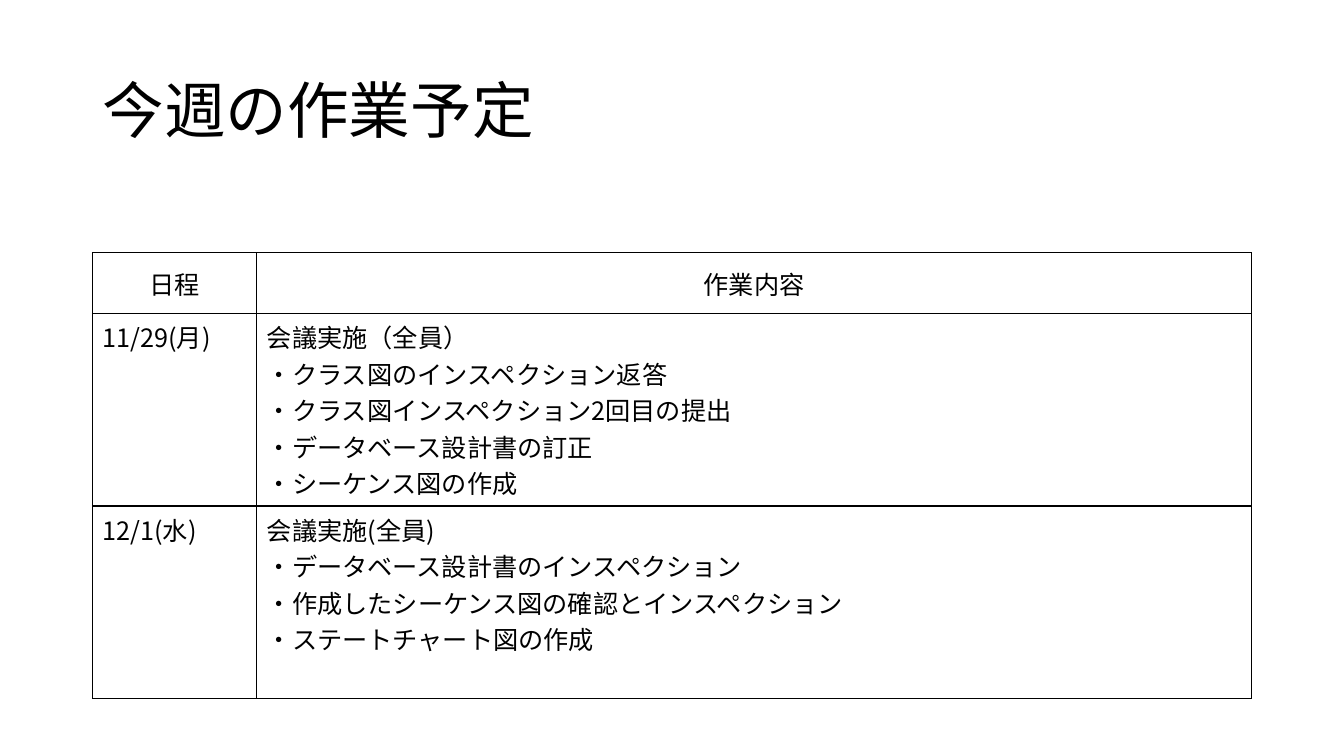
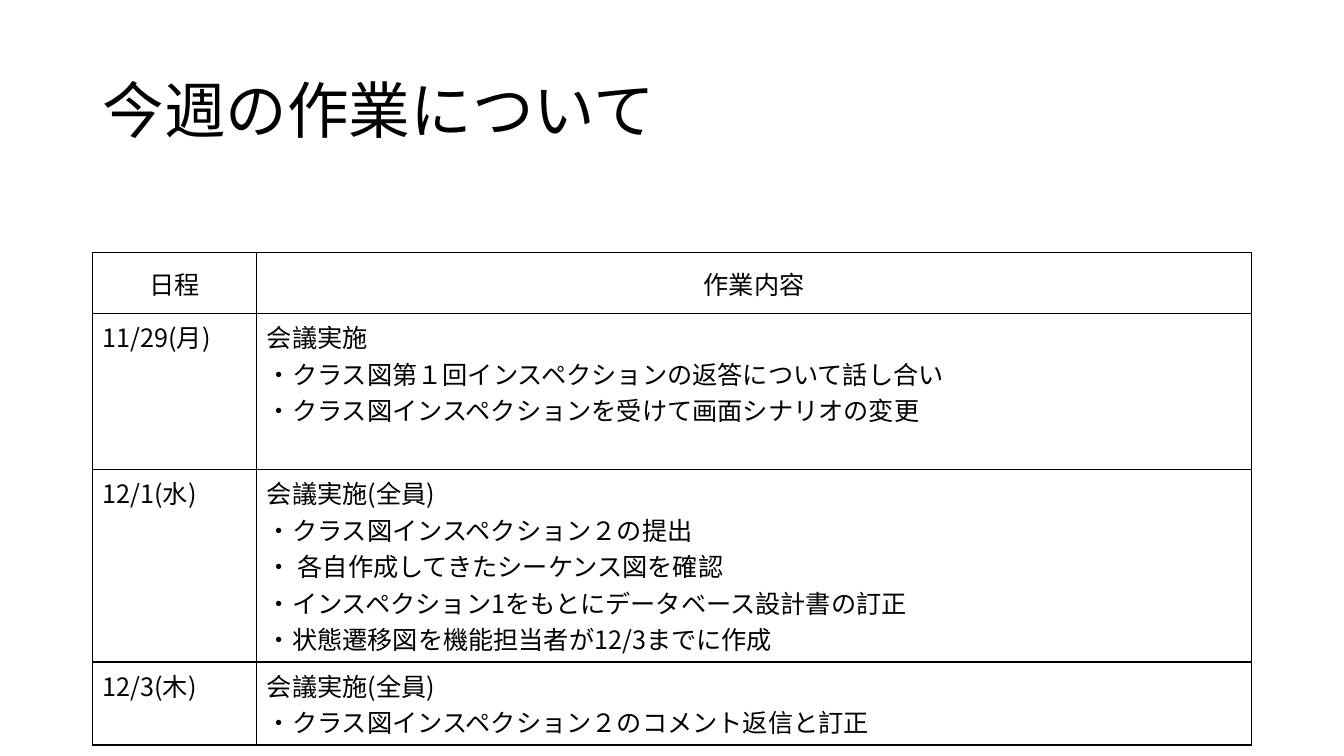
from lxml import etree
from pptx import Presentation
from pptx.dml.color import RGBColor
from pptx.enum.text import MSO_ANCHOR, MSO_AUTO_SIZE, PP_ALIGN
from pptx.oxml.ns import qn
from pptx.util import Cm, Pt

LEFT, CENTER = PP_ALIGN.LEFT, PP_ALIGN.CENTER
TOP, MIDDLE = MSO_ANCHOR.TOP, MSO_ANCHOR.MIDDLE
NO_AUTOFIT = MSO_AUTO_SIZE.NONE
TITLE_ONLY = 5

COLORS = {"text": "000000", "border": "000000", "paper": "FFFFFF"}
FONT = "Noto Sans CJK JP"
TITLE_SIZE, TABLE_SIZE = Pt(44), Pt(18)
BORDER_WIDTH = Pt(1)

MARGIN_X, CONTENT_WIDTH = Cm(2.33), Cm(29.21)
TITLE_TOP, TITLE_HEIGHT = Cm(1.01), Cm(3.68)
TABLE_TOP = Cm(6.37)
DATE_WIDTH = Cm(4.14)
HEADER_HEIGHT = Cm(1.53)
LINE_HEIGHT, CELL_PADDING = Cm(0.92), Cm(0.25)

HEADERS = ("日程", "作業内容")

# Each entry: date, height in text lines, heading, tasks
PLAN = [
    ("11/29(月)", 5, "会議実施（全員）", [
        "クラス図のインスペクション返答",
        "クラス図インスペクション2回目の提出",
        "データベース設計書の訂正",
        "シーケンス図の作成",
    ]),
    ("12/1(水)", 5, "会議実施(全員)", [
        "データベース設計書のインスペクション",
        "作成したシーケンス図の確認とインスペクション",
        "ステートチャート図の作成",
    ]),
]
REPORT = [
    ("11/29(月)", 4, "会議実施", [
        "クラス図第１回インスペクションの返答について話し合い",
        "クラス図インスペクションを受けて画面シナリオの変更",
    ]),
    ("12/1(水)", 5, "会議実施(全員)", [
        "クラス図インスペクション２の提出",
        " 各自作成してきたシーケンス図を確認",
        "インスペクション1をもとにデータベース設計書の訂正",
        "状態遷移図を機能担当者が12/3までに作成",
    ]),
    ("12/3(木)", 2, "会議実施(全員)", [
        "クラス図インスペクション２のコメント返信と訂正",
    ]),
]


def add_span(para, text, size):
    """Append one run in the deck font to a paragraph."""
    span = para.add_run()
    span.text = text
    span.font.size = size
    span.font.bold = False
    span.font.name = FONT
    span.font.color.rgb = RGBColor.from_string(COLORS["text"])
    east_asian = etree.SubElement(span.font._element, qn("a:ea"))
    east_asian.set("typeface", FONT)


def set_title(page, text):
    """Place and format the title placeholder."""
    title = page.shapes.title
    title.left, title.top = MARGIN_X, TITLE_TOP
    title.width, title.height = CONTENT_WIDTH, TITLE_HEIGHT
    frame = title.text_frame
    frame.word_wrap = True
    frame.auto_size = NO_AUTOFIT
    frame.vertical_anchor = MIDDLE
    para = frame.paragraphs[0]
    para.alignment = LEFT
    para.line_spacing = 0.9
    add_span(para, text, TITLE_SIZE)


def add_borders(cell):
    """Draw a solid line on all four sides of a cell."""
    properties = cell._tc.get_or_add_tcPr()
    for side in ("a:lnL", "a:lnR", "a:lnT", "a:lnB"):
        line = etree.SubElement(properties, qn(side), w=str(BORDER_WIDTH))
        fill = etree.SubElement(line, qn("a:solidFill"))
        etree.SubElement(fill, qn("a:srgbClr"), val=COLORS["border"])


def fill_cell(cell, lines, align=LEFT, anchor=TOP):
    """Style a cell and write one paragraph per line."""
    add_borders(cell)
    cell.fill.solid()
    cell.fill.fore_color.rgb = RGBColor.from_string(COLORS["paper"])
    cell.vertical_anchor = anchor
    frame = cell.text_frame
    for index, line in enumerate(lines):
        para = frame.add_paragraph() if index else frame.paragraphs[0]
        para.alignment = align
        add_span(para, line, TABLE_SIZE)


def add_schedule(page, entries):
    """Add the table of dates and the work done on each."""
    heights = [HEADER_HEIGHT]
    heights += [LINE_HEIGHT * entry[1] + CELL_PADDING for entry in entries]
    table = page.shapes.add_table(
        len(heights), len(HEADERS), MARGIN_X, TABLE_TOP, CONTENT_WIDTH, sum(heights)
    ).table
    table.first_row = False
    table.horz_banding = False
    table.columns[0].width = DATE_WIDTH
    table.columns[1].width = CONTENT_WIDTH - DATE_WIDTH
    for row, height in zip(table.rows, heights):
        row.height = height
    for column, header in enumerate(HEADERS):
        fill_cell(table.cell(0, column), [header], CENTER, MIDDLE)
    for row, (date, _, heading, tasks) in enumerate(entries, start=1):
        fill_cell(table.cell(row, 0), [date])
        fill_cell(table.cell(row, 1), [heading] + ["・" + task for task in tasks])


def add_page(deck, title, entries):
    """Add a slide with a title and a schedule."""
    page = deck.slides.add_slide(deck.slide_layouts[TITLE_ONLY])
    set_title(page, title)
    add_schedule(page, entries)


def main():
    """Build and save the deck."""
    deck = Presentation()
    deck.slide_width, deck.slide_height = Cm(33.87), Cm(19.05)
    add_page(deck, "今週の作業予定", PLAN)
    add_page(deck, "今週の作業について", REPORT)
    deck.save("out.pptx")


main()
